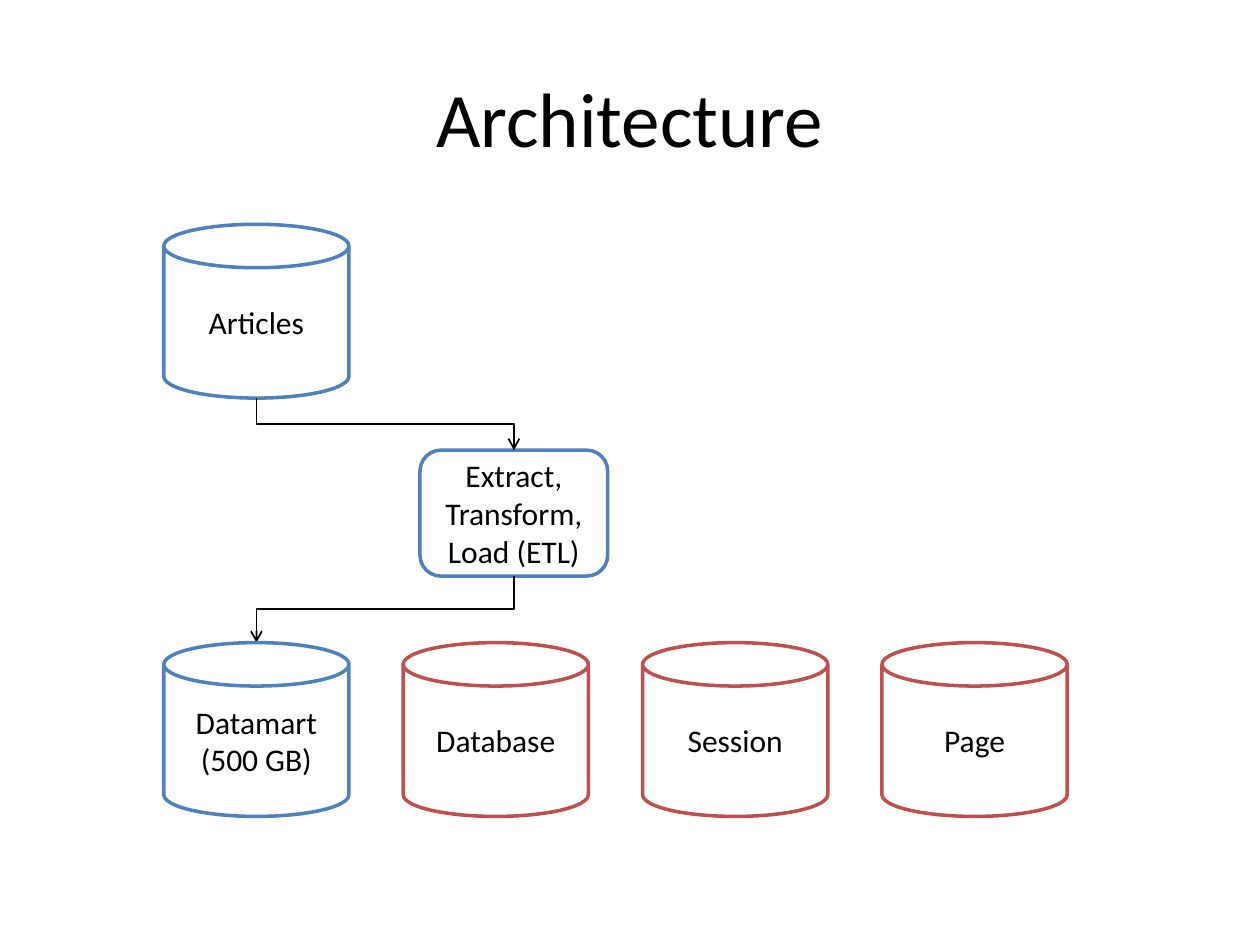
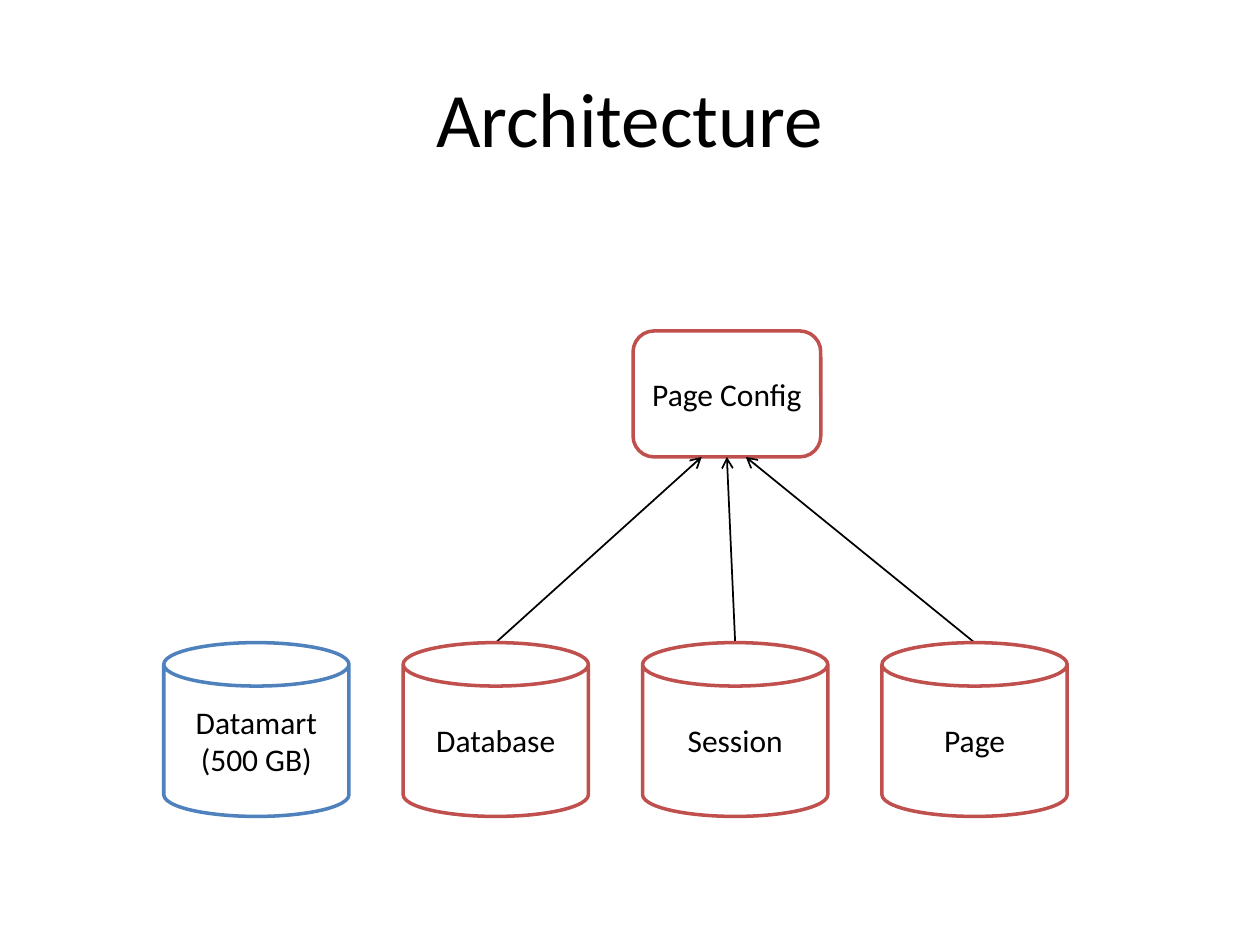
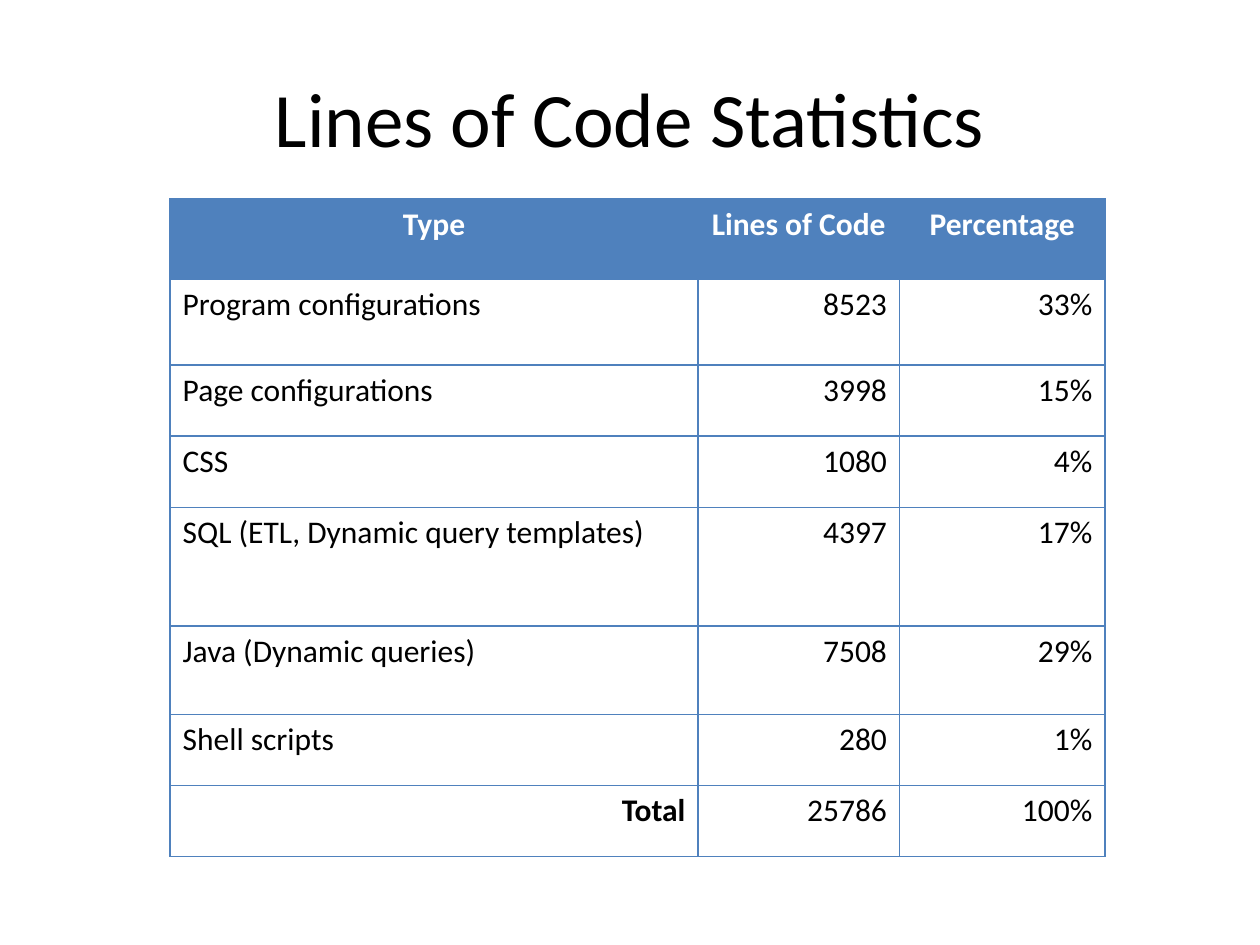
import dataclasses

import pptx
import pptx.dml.color
import pptx.enum.shapes
import pptx.enum.text
import pptx.oxml.ns
import pptx.util
from lxml import etree

Inches, Pt = pptx.util.Inches, pptx.util.Pt
RGB = pptx.dml.color.RGBColor.from_string
ALIGN = pptx.enum.text.PP_ALIGN
ANCHOR = pptx.enum.text.MSO_ANCHOR
SHAPE = pptx.enum.shapes.MSO_SHAPE
CONNECTOR = pptx.enum.shapes.MSO_CONNECTOR
qn = pptx.oxml.ns.qn


@dataclasses.dataclass(frozen=True)
class Theme:
    font: str = "Calibri"
    title_size: int = 44
    body_size: int = 18
    outline: float = 2
    thin: float = 1
    text: str = "000000"
    paper: str = "FFFFFF"
    blue: str = "4F81BD"
    red: str = "C0504D"


@dataclasses.dataclass(frozen=True)
class Box:
    """A rectangle in inches."""
    x: float
    y: float
    w: float
    h: float

    def inches(self):
        return [Inches(v) for v in (self.x, self.y, self.w, self.h)]

    @property
    def top(self):
        return self.x + self.w / 2, self.y

    @property
    def bottom(self):
        return self.x + self.w / 2, self.y + self.h


THEME = Theme()
SLIDE_W, SLIDE_H = 10, 7.5
TITLE = Box(0.05 * SLIDE_W, 0.04 * SLIDE_H, 0.9 * SLIDE_W, SLIDE_H / 6)
DIAGRAM = Box(1.3, 1.78, 7.6, 4.98)
TABLE = Box(1.35, 1.58, 7.42, 5.22)
COLUMNS, ROWS = 4, 3
CAN_SIZE = 1.47, 1.38
CARD_SIZE = 1.49, 1.0

STORES = [("Datamart\n(500 GB)", THEME.blue), ("Database", THEME.red),
          ("Session", THEME.red), ("Page", THEME.red)]
CODE_COLUMNS = [4.19, 1.6, 1.63]
CODE_HEIGHTS = [0.64, 0.69, 0.57, 0.57, 0.95, 0.71, 0.57, 0.57]
CODE_ROWS = [
    ("Type", "Lines of Code", "Percentage"),
    ("Program configurations", "8523", "33%"),
    ("Page configurations", "3998", "15%"),
    ("CSS", "1080", "4%"),
    ("SQL (ETL, Dynamic query templates)", "4397", "17%"),
    ("Java (Dynamic queries)", "7508", "29%"),
    ("Shell scripts", "280", "1%"),
    ("Total", "25786", "100%"),
]


# Shared helpers
def write(tf, text, size=THEME.body_size, color=THEME.text, bold=False,
          align=ALIGN.CENTER):
    tf.word_wrap = True
    for i, line in enumerate(text.split("\n")):
        p = tf.add_paragraph() if i else tf.paragraphs[0]
        p.alignment = align
        r = p.add_run()
        r.text = line
        r.font.name, r.font.size, r.font.bold = THEME.font, Pt(size), bold
        r.font.color.rgb = RGB(color)


def add_node(slide, kind, box, text, color):
    sp = slide.shapes.add_shape(kind, *box.inches())
    sp.shadow.inherit = False
    sp.fill.solid()
    sp.fill.fore_color.rgb = RGB(THEME.paper)
    sp.line.color.rgb = RGB(color)
    sp.line.width = Pt(THEME.outline)
    sp.text_frame.vertical_anchor = ANCHOR.MIDDLE
    write(sp.text_frame, text)
    return sp


def add_arrow(slide, kind, start, end):
    cxn = slide.shapes.add_connector(kind, *map(Inches, (*start, *end)))
    cxn.line.color.rgb = RGB(THEME.text)
    cxn.line.width = Pt(THEME.thin)
    etree.SubElement(cxn.line._get_or_add_ln(), qn("a:tailEnd"), type="arrow")
    etree.SubElement(cxn._element.spPr, qn("a:effectLst"))
    return cxn


def add_elbow(slide, start, end):
    """Leave downwards, cross over, arrive downwards: a turned elbow."""
    cx, cy = (start[0] + end[0]) / 2, (start[1] + end[1]) / 2
    across, down = abs(end[0] - start[0]), end[1] - start[1]
    left, right = cx - down / 2, cx + down / 2
    top, bottom = cy - across / 2, cy + across / 2
    rightward = end[0] > start[0]
    if rightward:
        left, right = right, left
    cxn = add_arrow(slide, CONNECTOR.ELBOW, (left, top), (right, bottom))
    cxn.rotation = 270 if rightward else 90


def grid_box(area, col, row, size):
    return Box(area.x + col * area.w / COLUMNS,
               area.y + row * area.h / ROWS, *size)


def add_titled_slide(prs, title):
    slide = prs.slides.add_slide(prs.slide_layouts[6])
    tb = slide.shapes.add_textbox(*TITLE.inches())
    tb.text_frame.vertical_anchor = ANCHOR.MIDDLE
    write(tb.text_frame, title, size=THEME.title_size)
    return slide


# Diagram regions
def store_boxes(area):
    return [grid_box(area, col, 2, CAN_SIZE) for col in range(COLUMNS)]


def add_stores(slide, area):
    for box, (text, color) in zip(store_boxes(area), STORES):
        add_node(slide, SHAPE.CAN, box, text, color)


def add_etl_flow(slide, area):
    source = grid_box(area, 0, 0, CAN_SIZE)
    etl = grid_box(area, 1.07, 1.08, CARD_SIZE)
    add_node(slide, SHAPE.CAN, source, "Articles", THEME.blue)
    add_node(slide, SHAPE.ROUNDED_RECTANGLE, etl,
             "Extract, Transform, Load (ETL)", THEME.blue)
    add_elbow(slide, source.bottom, etl.top)
    add_elbow(slide, etl.bottom, store_boxes(area)[0].top)


def add_config_flow(slide, area):
    config = grid_box(area, 1.96, 0.51, CARD_SIZE)
    card = add_node(slide, SHAPE.ROUNDED_RECTANGLE, config, "Page Config",
                    THEME.red)
    x, y = config.bottom
    for box, shift in zip(store_boxes(area)[1:], (-0.2, 0, 0.15)):
        cxn = add_arrow(slide, CONNECTOR.STRAIGHT, box.top, (x + shift, y))
        if not shift:
            cxn.end_connect(card, 2)


# Table region
def style_cell(cell, fill):
    cell.fill.solid()
    cell.fill.fore_color.rgb = RGB(fill)
    tcPr = cell._tc.get_or_add_tcPr()
    for i, side in enumerate(("lnL", "lnR", "lnT", "lnB")):
        ln = etree.Element(qn(f"a:{side}"), w=str(Pt(THEME.thin)))
        paint = etree.SubElement(ln, qn("a:solidFill"))
        etree.SubElement(paint, qn("a:srgbClr"), val=THEME.blue)
        tcPr.insert(i, ln)


def add_code_table(slide, area):
    table = slide.shapes.add_table(len(CODE_ROWS), len(CODE_COLUMNS),
                                   *area.inches()).table
    table.horz_banding = False
    for column, share in zip(table.columns, CODE_COLUMNS):
        column.width = Inches(area.w * share / sum(CODE_COLUMNS))
    for row, share in zip(table.rows, CODE_HEIGHTS):
        row.height = Inches(area.h * share / sum(CODE_HEIGHTS))
    for i, values in enumerate(CODE_ROWS):
        header = i == 0
        for j, text in enumerate(values):
            total = text == "Total"
            align = (ALIGN.CENTER if header else
                     ALIGN.RIGHT if j or total else ALIGN.LEFT)
            cell = table.cell(i, j)
            style_cell(cell, THEME.blue if header else THEME.paper)
            write(cell.text_frame, text, bold=header or total, align=align,
                  color=THEME.paper if header else THEME.text)


def main():
    prs = pptx.Presentation()
    prs.slide_width, prs.slide_height = Inches(SLIDE_W), Inches(SLIDE_H)
    for add_flow in (add_etl_flow, add_config_flow):
        slide = add_titled_slide(prs, "Architecture")
        add_flow(slide, DIAGRAM)
        add_stores(slide, DIAGRAM)
    add_code_table(add_titled_slide(prs, "Lines of Code Statistics"), TABLE)
    prs.save("out.pptx")


if __name__ == "__main__":
    main()
